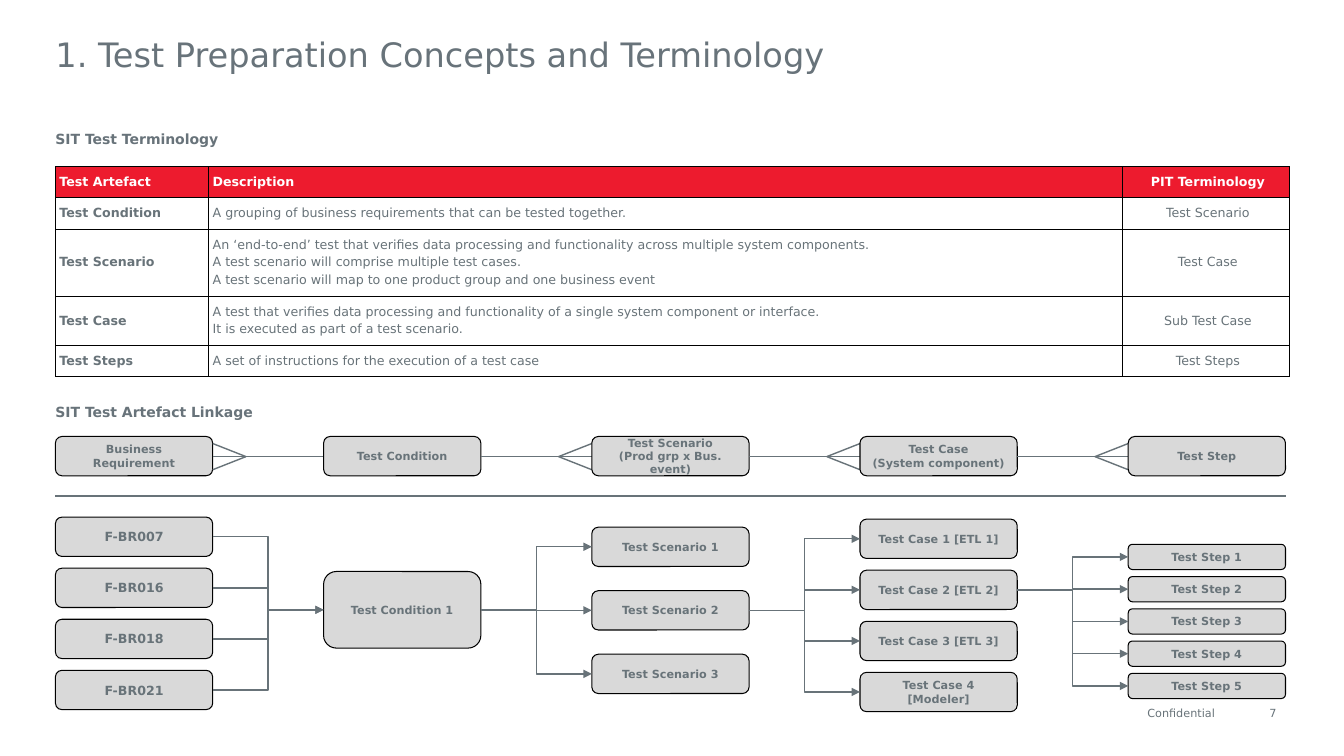
"""Build the test preparation terminology slide."""
from lxml.etree import SubElement
from pptx import Presentation
from pptx.dml.color import RGBColor
from pptx.enum.shapes import MSO_CONNECTOR, MSO_SHAPE
from pptx.enum.text import MSO_ANCHOR, PP_ALIGN
from pptx.oxml.ns import qn
from pptx.util import Inches, Pt

THEME = dict(
    font="DejaVu Sans", text=RGBColor(0x68, 0x73, 0x7A), line=RGBColor(0x68, 0x73, 0x79),
    box=RGBColor(0xD9, 0xD9, 0xD9), black=RGBColor(0, 0, 0), white=RGBColor(255, 255, 255),
    red=RGBColor(0xED, 0x1B, 0x2E), title=24, heading=10, table=9, label=8)

TERMS = [
    ("Test Artefact", "Description", "PIT Terminology"),
    ("Test Condition", "A grouping of business requirements that can be tested together.", "Test Scenario"),
    ("Test Scenario",
     "An ‘end-to-end’ test that verifies data processing and functionality across multiple system components.\n"
     "A test scenario will comprise multiple test cases.\n"
     "A test scenario will map to one product group and one business event", "Test Case"),
    ("Test Case",
     "A test that verifies data processing and functionality of a single system component or interface.\n"
     "It is executed as part of a test scenario.", "Sub Test Case"),
    ("Test Steps", "A set of instructions for the execution of a test case", "Test Steps")]
COL_WIDTHS = (1.52, 9.06, 1.66)
ROW_HEIGHTS = (0.31, 0.31, 0.66, 0.48, 0.31)

ENTITIES = ["Business Requirement", "Test Condition", "Test Scenario\n(Prod grp x Bus. event)",
            "Test Case\n(System component)", "Test Step"]
REQUIREMENTS = ["F-BR007", "F-BR016", "F-BR018", "F-BR021"]
SCENARIOS = [f"Test Scenario {i}" for i in (1, 2, 3)]
CASES = [f"Test Case {i} [ETL {i}]" for i in (1, 2, 3)] + ["Test Case 4 [Modeler]"]
STEPS = [f"Test Step {i}" for i in range(1, 6)]
BOX_W, BOX_H, PITCH = 1.56, 0.39, 2.66


def apply(obj, formats):
    """Set every attribute in a dict of format values."""
    for name, value in formats.items():
        setattr(obj, name, value)


def write(tf, text, size, color, bold=False, para=None):
    """Fill a text frame with one paragraph per line of text."""
    for i, line in enumerate(text.split("\n")):
        p = tf.paragraphs[0] if i == 0 else tf.add_paragraph()
        apply(p, para or {})
        r = p.add_run()
        r.text = line
        apply(r.font, dict(name=THEME["font"], size=Pt(size), bold=bold))
        r.font.color.rgb = color


def add_text(s, box, text, size, bold=False, color=THEME["text"], **para):
    """Add a text box without margins."""
    tf = s.shapes.add_textbox(*map(Inches, box)).text_frame
    apply(tf, dict(margin_left=0, margin_top=0, margin_right=0, margin_bottom=0, word_wrap=True))
    write(tf, text, size, color, bold, para)


def add_line(s, start, end, kind=MSO_CONNECTOR.STRAIGHT, arrow=False):
    """Draw a thin connector, with an arrowhead on request."""
    c = s.shapes.add_connector(kind, *map(Inches, (*start, *end)))
    c.line.width = Pt(1)
    c.line.color.rgb = THEME["line"]
    if arrow:
        SubElement(c.line._get_or_add_ln(), qn("a:tailEnd"), type="triangle")
    SubElement(c._element.spPr, qn("a:effectLst"))


def add_box(s, box, text, size=THEME["label"]):
    """Draw a labelled rounded box."""
    sp = s.shapes.add_shape(MSO_SHAPE.ROUNDED_RECTANGLE, *map(Inches, box))
    sp.shadow.inherit = False
    sp.fill.solid()
    sp.fill.fore_color.rgb = THEME["box"]
    sp.line.color.rgb = THEME["black"]
    sp.line.width = Pt(0.75)
    apply(sp.text_frame, dict(vertical_anchor=MSO_ANCHOR.MIDDLE, word_wrap=True))
    write(sp.text_frame, text, size, THEME["line"], True, dict(alignment=PP_ALIGN.CENTER))


def add_borders(cell):
    """Give a table cell thin black edges."""
    tc_pr = cell._tc.get_or_add_tcPr()
    for i, edge in enumerate(("lnL", "lnR", "lnT", "lnB")):
        ln = SubElement(tc_pr, qn(f"a:{edge}"), w=str(Pt(0.5)))
        SubElement(SubElement(ln, qn("a:solidFill")), qn("a:srgbClr"), val=str(THEME["black"]))
        tc_pr.remove(ln)
        tc_pr.insert(i, ln)


def term_table(s, box):
    """Draw the terminology table."""
    table = s.shapes.add_table(len(TERMS), len(COL_WIDTHS), *map(Inches, box)).table
    for column, width in zip(table.columns, COL_WIDTHS):
        column.width = Inches(width)
    for i, (row, height) in enumerate(zip(TERMS, ROW_HEIGHTS)):
        table.rows[i].height = Inches(height)
        for j, text in enumerate(row):
            cell, header = table.cell(i, j), i == 0
            apply(cell, dict(margin_left=Inches(0.04), margin_right=0, margin_top=Inches(0.08),
                             margin_bottom=Inches(0.08), vertical_anchor=MSO_ANCHOR.MIDDLE))
            cell.fill.solid()
            cell.fill.fore_color.rgb = THEME["red" if header else "white"]
            align = PP_ALIGN.CENTER if j == 2 else PP_ALIGN.LEFT
            write(cell.text_frame, text, THEME["table"], THEME["white" if header else "line"],
                  header or j == 0, dict(alignment=align, space_before=Pt(1), space_after=Pt(1)))
            add_borders(cell)


def entity_row(s, box):
    """Draw the artefact types, joined by crow's feet."""
    left, top, width, height = box
    y, foot, spread = top + 0.2, 0.33, 0.13
    for i, text in enumerate(ENTITIES):
        x = left + i * PITCH
        add_box(s, (x, top, BOX_W, height), text)
        if i == len(ENTITIES) - 1:
            continue
        start, end = x + BOX_W, x + PITCH
        many, apex = (start, start + foot) if i == 0 else (end, end - foot)
        add_line(s, (start, y), (end, y))
        for dy in (-spread, spread):
            add_line(s, (apex, y), (many, y + dy))
    add_line(s, (left, top + 0.59), (left + width, top + 0.59))


def stack(s, x, first, last, height, labels, size=THEME["label"]):
    """Spread boxes evenly down a column and return their centres."""
    step = (last - first) / max(len(labels) - 1, 1)
    tops = [first + i * step for i in range(len(labels))]
    for top, text in zip(tops, labels):
        add_box(s, (x, top, BOX_W, height), text, size)
    return [top + height / 2 for top in tops]


def fan_out(s, x, source, targets):
    """Branch from one box to every box of the next column."""
    end = x + PITCH - BOX_W
    for y in (targets[0], targets[-1]):
        add_line(s, (x, source), (end, y), MSO_CONNECTOR.ELBOW, True)
    for y in targets[1:-1]:
        add_line(s, ((x + end) / 2, y), (end, y), arrow=True)


def fan_in(s, x, sources, target):
    """Merge every box of a column into the next box."""
    end = x + PITCH - BOX_W
    for y in (sources[0], sources[-1]):
        add_line(s, (x, y), (end, target), MSO_CONNECTOR.ELBOW, True)
    for y in sources[1:-1]:
        add_line(s, (x, y), ((x + end) / 2, y))


def linkage_example(s, box):
    """Draw the worked example from requirements to steps."""
    left, top = box[:2]
    xs = [left + i * PITCH for i in range(len(ENTITIES))]
    needs = stack(s, xs[0], top, top + 1.52, BOX_H, REQUIREMENTS, THEME["table"])
    condition = stack(s, xs[1], top + 0.54, top + 0.54, 0.76, ["Test Condition 1"])[0]
    scenarios = stack(s, xs[2], top + 0.1, top + 1.36, BOX_H, SCENARIOS)
    cases = stack(s, xs[3], top + 0.02, top + 1.54, BOX_H, CASES)
    steps = stack(s, xs[4], top + 0.27, top + 1.55, 0.25, STEPS)
    fan_in(s, xs[0] + BOX_W, needs, condition)
    links = [(condition, scenarios), (scenarios[1], cases), (cases[1], steps)]
    for x, (source, targets) in zip(xs[1:], links):
        fan_out(s, x + BOX_W, source, targets)


def footer(s, box):
    """Write the confidentiality mark and the page number."""
    left, top, width, height = box
    form = dict(size=THEME["label"], line_spacing=Pt(8))
    add_text(s, (left, top, 0.8, height), "Confidential", color=THEME["line"], **form)
    add_text(s, (left + width - 0.19, top, 0.19, height), "7", alignment=PP_ALIGN.RIGHT, **form)


def main():
    """Assemble and save the slide."""
    prs = Presentation()
    apply(prs, dict(slide_width=Inches(13.33), slide_height=Inches(7.5)))
    s = prs.slides.add_slide(prs.slide_layouts[6])
    add_text(s, (0.55, 0.35, 12.24, 0.37), "1. Test Preparation Concepts and Terminology",
             THEME["title"], line_spacing=Pt(28))
    add_text(s, (0.55, 1.29, 11.1, 0.17), "SIT Test Terminology", THEME["heading"], True)
    term_table(s, (0.55, 1.65, 12.24, 2.07))
    add_text(s, (0.55, 4.0, 11.1, 0.17), "SIT Test Artefact Linkage", THEME["heading"], True)
    entity_row(s, (0.55, 4.33, 12.2, BOX_H))
    linkage_example(s, (0.55, 5.13, 12.2, 1.93))
    footer(s, (11.38, 7.03, 1.28, 0.11))
    prs.save("out.pptx")


main()
